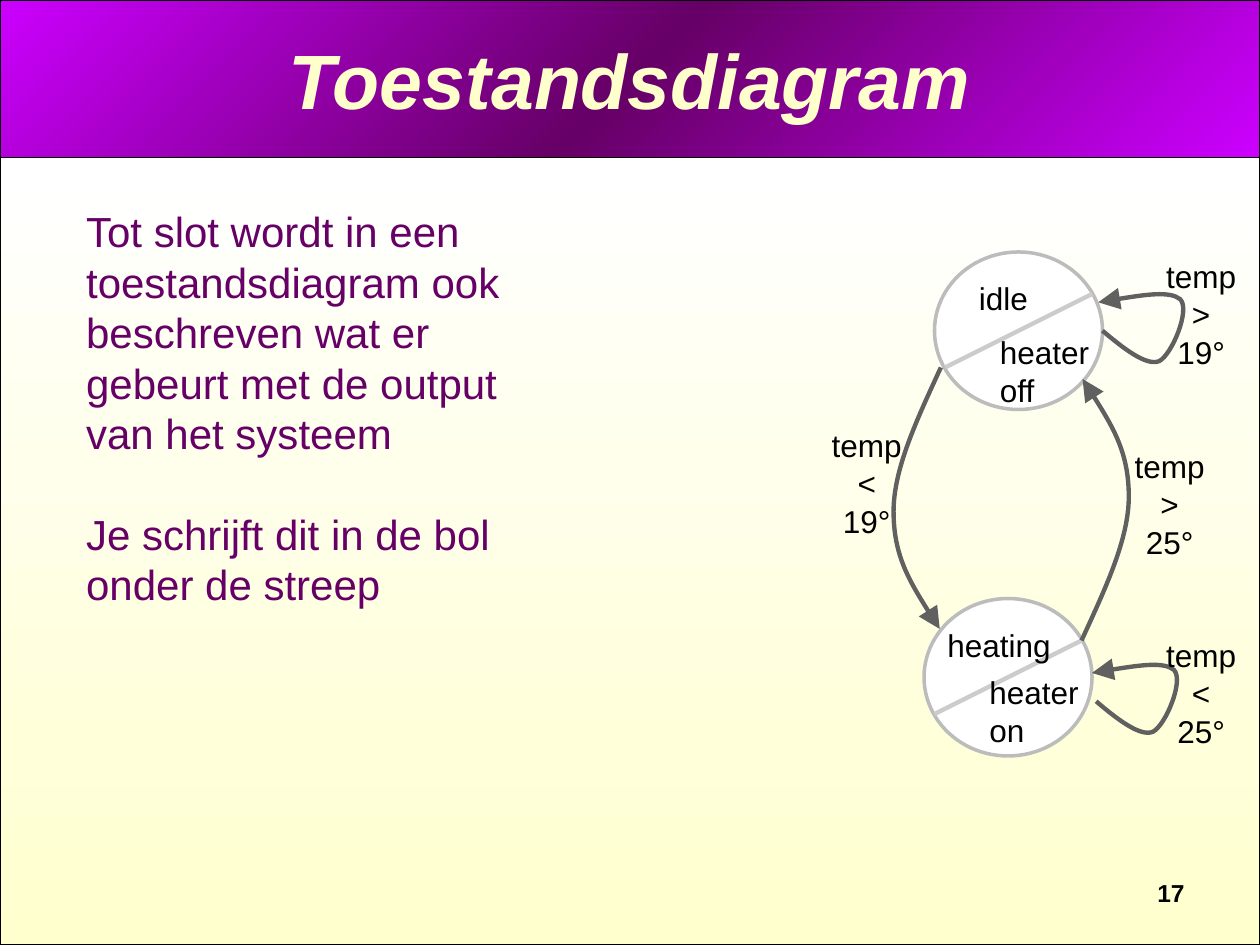
import pptx
import pptx.util
import pptx.dml.color
import pptx.enum.shapes
import pptx.enum.text
import pptx.oxml
import pptx.oxml.ns
from lxml import etree

COLORS = {
    "purple": "660066", "violet": "CC00FF", "cream": "FFFFCC", "white": "FFFFFF",
    "black": "000000", "ring": "BCBCBC", "slash": "CCCCCC", "arrow": "606060",
}
COLS = 120
SLIDE_W, SLIDE_H = pptx.util.Inches(10), pptx.util.Inches(7.5)
UNIT = SLIDE_W / COLS
ALIGN = pptx.enum.text.PP_ALIGN
ANCHOR = pptx.enum.text.MSO_ANCHOR
SHAPE = pptx.enum.shapes.MSO_SHAPE
qn = pptx.oxml.ns.qn


def grid(*cells):
    """Convert grid columns and rows to lengths."""
    return [pptx.util.Emu(round(c * UNIT)) for c in cells]


def rgb(name):
    """Look up a named colour."""
    return pptx.dml.color.RGBColor.from_string(COLORS[name])


def set_line(sp, color, width):
    """Format an outline."""
    sp.line.color.rgb = rgb(color)
    sp.line.width = pptx.util.Pt(width)


def write_text(tf, lines, size, color="black", align=ALIGN.LEFT, gap=0, bold=False, italic=False):
    """Fill a text frame with evenly formatted paragraphs."""
    tf.text = "\n".join(lines)
    tf.auto_size = pptx.enum.text.MSO_AUTO_SIZE.NONE
    for i, p in enumerate(tf.paragraphs):
        p.alignment = align
        p.line_spacing = pptx.util.Pt(size * 1.2)
        p.space_before = pptx.util.Pt(gap if i else 0)
        for r in p.runs:
            r.font.name = "Arial"
            r.font.size = pptx.util.Pt(size)
            r.font.bold, r.font.italic = bold, italic
            r.font.color.rgb = rgb(color)


def add_label(shapes, box, lines, align=ALIGN.LEFT, size=18, bold=False):
    """Add an unwrapped text box."""
    tf = shapes.add_textbox(*grid(*box)).text_frame
    tf.word_wrap = False
    write_text(tf, lines, size, align=align, bold=bold)


def add_band(s, box, stops, angle, depth, alpha=100):
    """Add a gradient background band behind the placeholders."""
    sp = s.shapes.add_shape(SHAPE.RECTANGLE, *grid(*box))
    sp.shadow.inherit = False
    set_line(sp, "black", 0.75)
    marks = "".join(
        f'<a:gs pos="{pos * 1000}"><a:srgbClr val="{COLORS[name]}">'
        f'<a:alpha val="{alpha * 1000}"/></a:srgbClr></a:gs>' for pos, name in stops)
    fill = pptx.oxml.parse_xml(
        f'<a:gradFill {pptx.oxml.ns.nsdecls("a")}><a:gsLst>{marks}</a:gsLst>'
        f'<a:lin ang="{angle * 60000}" scaled="0"/></a:gradFill>')
    sp._element.spPr.find(qn("a:prstGeom")).addnext(fill)
    sp._element.getparent().insert(2 + depth, sp._element)


def fill_title(sp, box, text):
    """Place and format the title."""
    sp.left, sp.top, sp.width, sp.height = grid(*box)
    sp.text_frame.vertical_anchor = ANCHOR.MIDDLE
    write_text(sp.text_frame, [text], 44, "cream", ALIGN.CENTER, bold=True, italic=True)


def fill_body(sp, box, lines):
    """Place and format the explanation without bullets."""
    sp.left, sp.top, sp.width, sp.height = grid(*box)
    write_text(sp.text_frame, lines, 24, "purple", gap=28.8)
    for p in sp.text_frame.paragraphs:
        pPr = p._p.get_or_add_pPr()
        pPr.set("marL", "0")
        pPr.set("indent", "0")
        etree.SubElement(pPr, qn("a:buNone"))


def add_state(s, x, y, name, name_x, name_w):
    """Add a state circle with its name above a slash."""
    shapes = s.shapes.add_group_shape().shapes
    sp = shapes.add_shape(SHAPE.OVAL, *grid(x, y, 16, 15))
    sp.shadow.inherit = False
    sp.fill.solid()
    sp.fill.fore_color.rgb = rgb("white")
    set_line(sp, "ring", 2)
    slash = shapes.add_connector(
        pptx.enum.shapes.MSO_CONNECTOR.STRAIGHT, *grid(x + 15, y + 4, x + 1, y + 11))
    set_line(slash, "slash", 2.5)
    etree.SubElement(slash._element.spPr, qn("a:effectLst"))
    add_label(shapes, (x + name_x, y + 2, name_w, 4.8), [name])


def add_transition(s, points):
    """Add a curved arrow through Bézier control points."""
    start, *rest = [grid(*pt) for pt in points]
    builder = s.shapes.build_freeform(*start, scale=1.0)
    builder.add_line_segments(rest, close=False)
    sp = builder.convert_to_shape()
    sp.shadow.inherit = False
    sp.fill.background()
    set_line(sp, "arrow", 2.5)
    segments = list(sp._element.iter(qn("a:lnTo")))
    for i in range(0, len(segments), 3):
        curve = etree.SubElement(segments[i].getparent(), qn("a:cubicBezTo"))
        for segment in segments[i:i + 3]:
            curve.append(segment[0])
            segment.getparent().remove(segment)
    etree.SubElement(sp.line._get_or_add_ln(), qn("a:tailEnd"), type="triangle", w="lg", len="lg")


def add_diagram(s, x, y):
    """Add the states, transitions and conditions from a top-left corner."""
    add_state(s, x + 11, y, "idle", 3.05, 7.1)
    add_state(s, x + 10, y + 33, "heating", 1.05, 12.2)
    arc = [(11.6, 11), (9.4, 15.8), (7.1, 20.6), (7.1, 24.7), (7.1, 28.9), (9.2, 32.4), (11.5, 35.9)]
    loop = [(0.4, 3.8), (2.4, 5.5), (4.6, 7.2), (5.8, 6.7), (7, 6.1),
            (8.8, 1.8), (7.8, 0.8), (6.8, 0), (3.4, 0.5), (0, 1.1)]
    add_transition(s, [(x + a, y + b) for a, b in arc])
    add_transition(s, [(x + 36.6 - a, y + 48 - b) for a, b in arc])
    for left, top in ((26.6, 3.7), (26, 39)):
        add_transition(s, [(x + left + a, y + top + b) for a, b in loop])
    conditions = [(28.9, 18, ">", "25°"), (0.05, 16, "<", "19°"),
                  (31.9, -0.1, ">", "19°"), (31.9, 36, "<", "25°")]
    for left, top, sign, limit in conditions:
        add_label(s.shapes, (x + left, y + top, 9, 12), ["temp", sign, limit], ALIGN.CENTER)
    for left, top, output in ((16.05, 7.15, "off"), (15.05, 39.5, "on")):
        add_label(s.shapes, (x + left, y + top, 10.9, 8.4), ["heater", output])


def main():
    """Build and save the slide."""
    prs = pptx.Presentation()
    prs.slide_width, prs.slide_height = SLIDE_W, SLIDE_H
    s = prs.slides.add_slide(prs.slide_layouts[1])
    add_band(s, (0, 0, COLS, 15), [(0, "violet"), (50, "purple"), (100, "violet")], 45, 0)
    add_band(s, (0, 15, COLS, 75), [(0, "white"), (100, "cream")], 90, 1, alpha=94)
    fill_title(s.shapes.title, (6, 0, 108, 15), "Toestandsdiagram")
    fill_body(s.placeholders[1], (7, 19, 44, 39.6), [
        "Tot slot wordt in een toestandsdiagram ook beschreven wat er gebeurt met de output van het systeem",
        "Je schrijft dit in de bol onder de streep",
    ])
    add_diagram(s, 78, 24)
    add_label(s.shapes, (86, 83, 28, 4), ["17"], ALIGN.RIGHT, 14, True)
    prs.save("out.pptx")


if __name__ == "__main__":
    main()
